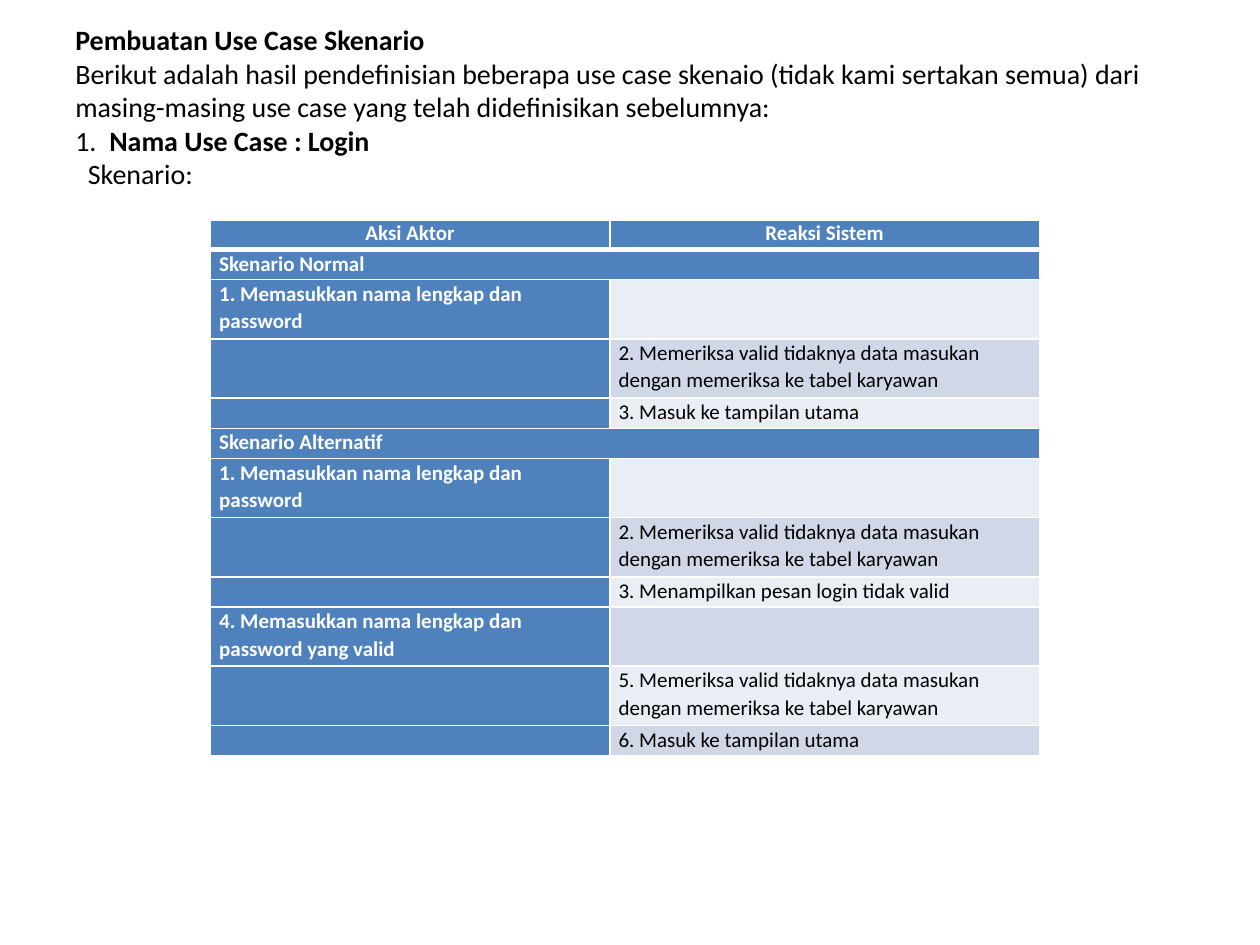
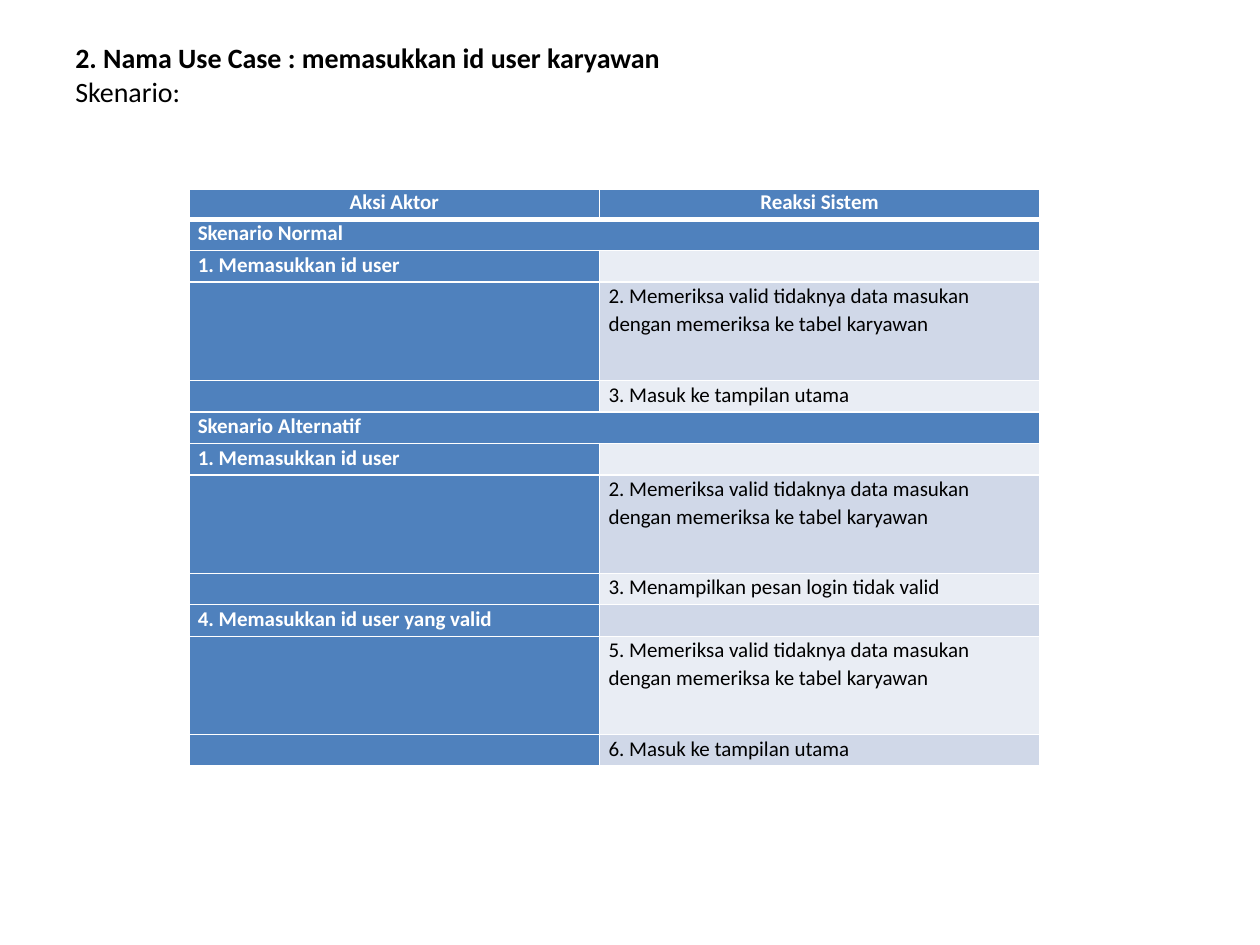
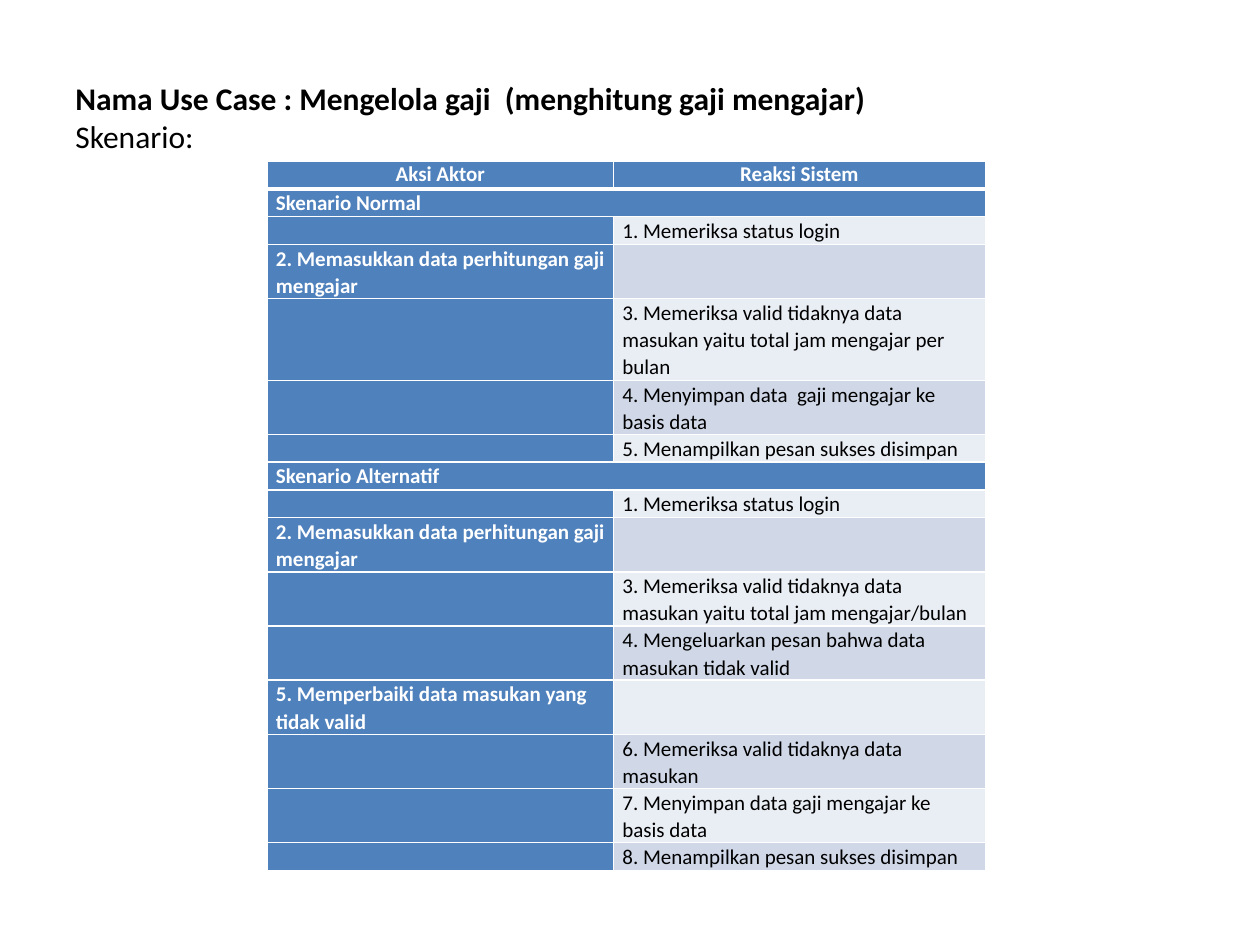
from dataclasses import dataclass

from lxml.etree import SubElement
from pptx import Presentation
from pptx.dml.color import RGBColor
from pptx.enum.text import MSO_ANCHOR, PP_ALIGN
from pptx.oxml.ns import qn
from pptx.util import Inches, Pt


@dataclass(frozen=True)
class Theme:
    font: str = "Calibri"
    ink: str = "000000"
    paper: str = "FFFFFF"
    accent: str = "4F81BD"
    bands: tuple = ("E9EDF4", "D0D8E8")
    title_size: float = 16
    large_title_size: float = 18
    cell_size: float = 12
    header_spacing: float = 14.7
    cell_spacing: float = 1.07
    rule: float = 1
    header_rule: float = 3


class Deck:
    def __init__(self, theme):
        self.theme = theme
        self.presentation = Presentation()
        self.presentation.slide_width = Inches(10)
        self.presentation.slide_height = Inches(7.5)
        self.slide = None

    def new_slide(self):
        self.slide = self.presentation.slides.add_slide(self.presentation.slide_layouts[6])

    def style(self, run, size, color, bold):
        run.font.name = self.theme.font
        run.font.size = Pt(size)
        run.font.bold = bold
        run.font.color.rgb = RGBColor.from_string(color)

    def heading(self, lines, size, bottom_inset=0.05):
        """Each line is (indent, hanging, [(text, bold), ...])."""
        box = self.slide.shapes.add_textbox(Inches(0.5), Inches(0.3), Inches(9), Inches(1.25))
        frame = box.text_frame
        frame.word_wrap = True
        frame.vertical_anchor = MSO_ANCHOR.MIDDLE
        frame.margin_bottom = Inches(bottom_inset)
        for number, (indent, hanging, parts) in enumerate(lines):
            line = frame.add_paragraph() if number else frame.paragraphs[0]
            properties = line._p.get_or_add_pPr()
            properties.set("marL", str(Inches(indent)))
            properties.set("indent", str(-Inches(hanging)))
            for text, bold in parts:
                run = line.add_run()
                run.text = text
                self.style(run, size, self.theme.ink, bold)

    def borders(self, cell, top, bottom):
        widths = {"a:lnL": self.theme.rule, "a:lnR": self.theme.rule, "a:lnT": top, "a:lnB": bottom}
        for side, width in widths.items():
            edge = SubElement(cell._tc.get_or_add_tcPr(), qn(side), w=str(Pt(width)))
            SubElement(SubElement(edge, qn("a:solidFill")), qn("a:srgbClr"), val=self.theme.paper)

    def cell(self, cell, text, fill, row):
        theme = self.theme
        is_header = row == 0
        self.borders(cell, theme.header_rule if row == 1 else theme.rule,
                     theme.header_rule if is_header else theme.rule)
        cell.fill.solid()
        cell.fill.fore_color.rgb = RGBColor.from_string(fill)
        cell.margin_left = cell.margin_right = Inches(0.07)
        cell.margin_top = cell.margin_bottom = 0
        paragraph = cell.text_frame.paragraphs[0]
        paragraph.text = text
        paragraph.alignment = PP_ALIGN.CENTER if is_header else PP_ALIGN.LEFT
        paragraph.line_spacing = Pt(theme.header_spacing) if is_header else theme.cell_spacing
        on_accent = fill == theme.accent
        for run in paragraph.runs:
            self.style(run, theme.cell_size, theme.paper if on_accent else theme.ink, on_accent)
        if not text:
            # An empty cell keeps the text size of its row
            SubElement(paragraph._p, qn("a:endParaRPr"), sz=str(int(theme.cell_size * 100)))

    def scenario_table(self, left, top, widths, header_height, heights, steps):
        """Each step is (actor, reaction, line count); reaction None makes a section row."""
        rows = [("Aksi Aktor", "Reaksi Sistem", 1)] + steps
        row_heights = [header_height] + [heights[lines] for _, _, lines in steps]
        table = self.slide.shapes.add_table(
            len(rows), 2, Inches(left), Inches(top),
            Inches(sum(widths)), Inches(sum(row_heights))).table
        for column, width in zip(table.columns, widths):
            column.width = Inches(width)
        for index, (actor, reaction, _) in enumerate(rows):
            table.rows[index].height = Inches(row_heights[index])
            actor_cell, reaction_cell = table.cell(index, 0), table.cell(index, 1)
            is_section = reaction is None
            if is_section:
                actor_cell.merge(reaction_cell)
            plain = self.theme.bands[index % 2]
            self.cell(actor_cell, actor, self.theme.accent, index)
            self.cell(reaction_cell, reaction or "",
                      self.theme.accent if is_section or index == 0 else plain, index)


# Scenario content
NORMAL = ("Skenario Normal", None, 1)
ALTERNATIVE = ("Skenario Alternatif", None, 1)


def action(text, lines):
    return text, "", lines


def reaction(text, lines=1):
    return "", text, lines


def login_steps(entry, lines):
    check = "Memeriksa valid tidaknya data masukan dengan memeriksa ke tabel karyawan"
    first = [action(f"1. {entry}", lines), reaction(f"2. {check}", 2)]
    return [
        NORMAL, *first, reaction("3. Masuk ke tampilan utama"),
        ALTERNATIVE, *first, reaction("3. Menampilkan pesan login tidak valid"),
        action(f"4. {entry} yang valid", lines),
        reaction(f"5. {check}", 2),
        reaction("6. Masuk ke tampilan utama"),
    ]


def salary_steps():
    first = [reaction("1. Memeriksa status login"),
             action("2. Memasukkan data perhitungan gaji mengajar", 2)]
    check = "Memeriksa valid tidaknya data masukan"
    return [
        NORMAL, *first,
        reaction(f"3. {check} yaitu total jam mengajar per bulan", 3),
        reaction("4. Menyimpan data  gaji mengajar ke basis data", 2),
        reaction("5. Menampilkan pesan sukses disimpan"),
        ALTERNATIVE, *first,
        reaction(f"3. {check} yaitu total jam mengajar/bulan", 2),
        reaction("4. Mengeluarkan pesan bahwa data masukan tidak valid", 2),
        action("5. Memperbaiki data masukan yang tidak valid", 2),
        reaction(f"6. {check}", 2),
        reaction("7. Menyimpan data gaji mengajar ke basis data", 2),
        reaction("8. Menampilkan pesan sukses disimpan"),
    ]


def main():
    theme = Theme()
    deck = Deck(theme)
    scenario_line = (0, 0, [("Skenario:", False)])

    # Login
    deck.new_slide()
    deck.heading([
        (0, 0, [("Pembuatan Use Case Skenario", True)]),
        (0, 0, [("Berikut adalah hasil pendefinisian beberapa use case skenaio (tidak kami "
                 "sertakan semua) dari masing-masing use case yang telah didefinisikan "
                 "sebelumnya:", False)]),
        (0.27, 0.27, [("1.\t", False), ("Nama Use Case : Login", True)]),
        (0.1, 0, [("Skenario:", False)]),
    ], theme.title_size, bottom_inset=0.21)
    deck.scenario_table(1.67, 1.75, (3.17, 3.41), 0.23, {1: 0.24, 2: 0.47},
                        login_steps("Memasukkan nama lengkap dan password", 2))

    # Employee user id
    deck.new_slide()
    deck.heading([
        (0, 0, [("2. Nama Use Case : memasukkan id user karyawan", True)]),
        scenario_line,
    ], theme.title_size, bottom_inset=0.72)
    deck.scenario_table(1.5, 1.5, (3.26, 3.49), 0.24, {1: 0.25, 2: 0.78},
                        login_steps("Memasukkan id user", 1))

    # Salary
    deck.new_slide()
    deck.heading([
        (0, 0, [("Nama Use Case : Mengelola gaji  (menghitung gaji mengajar)", True)]),
        scenario_line,
    ], theme.large_title_size)
    deck.scenario_table(2.12, 1.28, (2.75, 2.95), 0.22, {1: 0.22, 2: 0.43, 3: 0.65},
                        salary_steps())

    deck.presentation.save("out.pptx")


if __name__ == "__main__":
    main()
